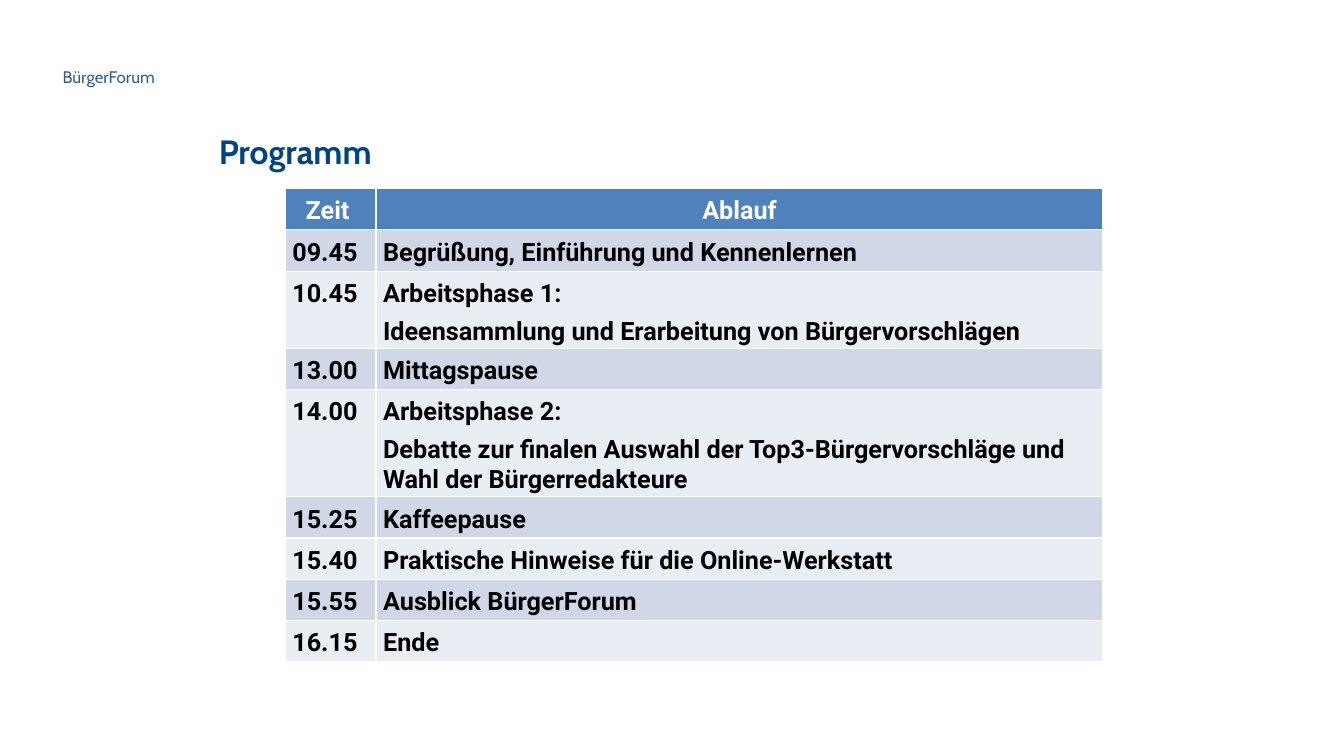
from lxml import etree
from pptx import Presentation
from pptx.dml.color import RGBColor
from pptx.enum.text import PP_ALIGN
from pptx.oxml.ns import qn
from pptx.util import Inches, Pt

CENTER = PP_ALIGN.CENTER
LEFT = PP_ALIGN.LEFT
COLORS = {
    "title": "004380",
    "label": "376092",
    "head": "4F81BD",
    "dark": "D0D8E8",
    "light": "E9EDF4",
    "white": "FFFFFF",
    "black": "000000",
}
AGENDA = [
    ("Zeit ", "Ablauf", 0.41),
    ("09.45", "Begrüßung, Einführung und Kennenlernen", 0.41),
    ("10.45", "Arbeitsphase 1:\nIdeensammlung und Erarbeitung von Bürgervorschlägen", 0.74),
    ("13.00", "Mittagspause", 0.41),
    ("14.00", "Arbeitsphase 2:\nDebatte zur finalen Auswahl der Top3-Bürgervorschläge "
     "und Wahl der Bürgerredakteure", 1.04),
    ("15.25", "Kaffeepause", 0.41),
    ("15.40", "Praktische Hinweise für die Online-Werkstatt", 0.41),
    ("15.55", "Ausblick BürgerForum", 0.41),
    ("16.15", "Ende", 0.41),
]
WIDTHS = (0.9, 7.21)


def style_run(run, font, size, color, bold):
    run.font.name = font
    run.font.size = Pt(size)
    run.font.bold = bold
    run.font.color.rgb = RGBColor.from_string(COLORS[color])


def set_inset(item, left, top, right, bottom):
    item.margin_left = Inches(left)
    item.margin_top = Inches(top)
    item.margin_right = Inches(right)
    item.margin_bottom = Inches(bottom)


def add_label(slide, text, box, size, color, bold):
    frame = slide.shapes.add_textbox(*map(Inches, box)).text_frame
    frame.word_wrap = True
    set_inset(frame, 0, 0, 0, 0)
    frame.text = text
    style_run(frame.paragraphs[0].runs[0], "Cabin", size, color, bold)


def set_edges(cell):
    props = cell._tc.get_or_add_tcPr()
    for spot, side in enumerate(("lnL", "lnR", "lnT", "lnB")):
        line = etree.Element(qn(f"a:{side}"), w=str(Pt(1)))
        fill = etree.SubElement(line, qn("a:solidFill"))
        etree.SubElement(fill, qn("a:srgbClr"), val=COLORS["white"])
        props.insert(spot, line)


def fill_cell(cell, text, back, color, align):
    set_inset(cell, 0.07, 0.08, 0.07, 0)
    cell.fill.solid()
    cell.fill.fore_color.rgb = RGBColor.from_string(COLORS[back])
    set_edges(cell)
    cell.text_frame.text = text
    for para in cell.text_frame.paragraphs:
        para.alignment = align
        para.space_after = Pt(6)
        style_run(para.runs[0], "Roboto", 18, color, True)


def add_agenda(slide):
    high = sum(row[2] for row in AGENDA)
    box = (2.83, 1.87, sum(WIDTHS), high)
    table = slide.shapes.add_table(len(AGENDA), len(WIDTHS), *map(Inches, box)).table
    for column, width in zip(table.columns, WIDTHS):
        column.width = Inches(width)
    for index, (time, topic, height) in enumerate(AGENDA):
        table.rows[index].height = Inches(height)
        if index == 0:
            look = ("head", "white", CENTER)
        else:
            look = ("dark" if index % 2 else "light", "black", LEFT)
        for cell, text in zip(table.rows[index].cells, (time, topic)):
            fill_cell(cell, text, *look)


def main():
    deck = Presentation()
    deck.slide_width = Inches(13.33)
    deck.slide_height = Inches(7.5)
    slide = deck.slides.add_slide(deck.slide_layouts[6])
    add_label(slide, "Programm", (2.17, 1.3, 9, 0.4), 24, "title", True)
    add_agenda(slide)
    add_label(slide, "BürgerForum", (0.62, 0.66, 1.71, 0.2), 12, "label", False)
    deck.save("out.pptx")


if __name__ == "__main__":
    main()
